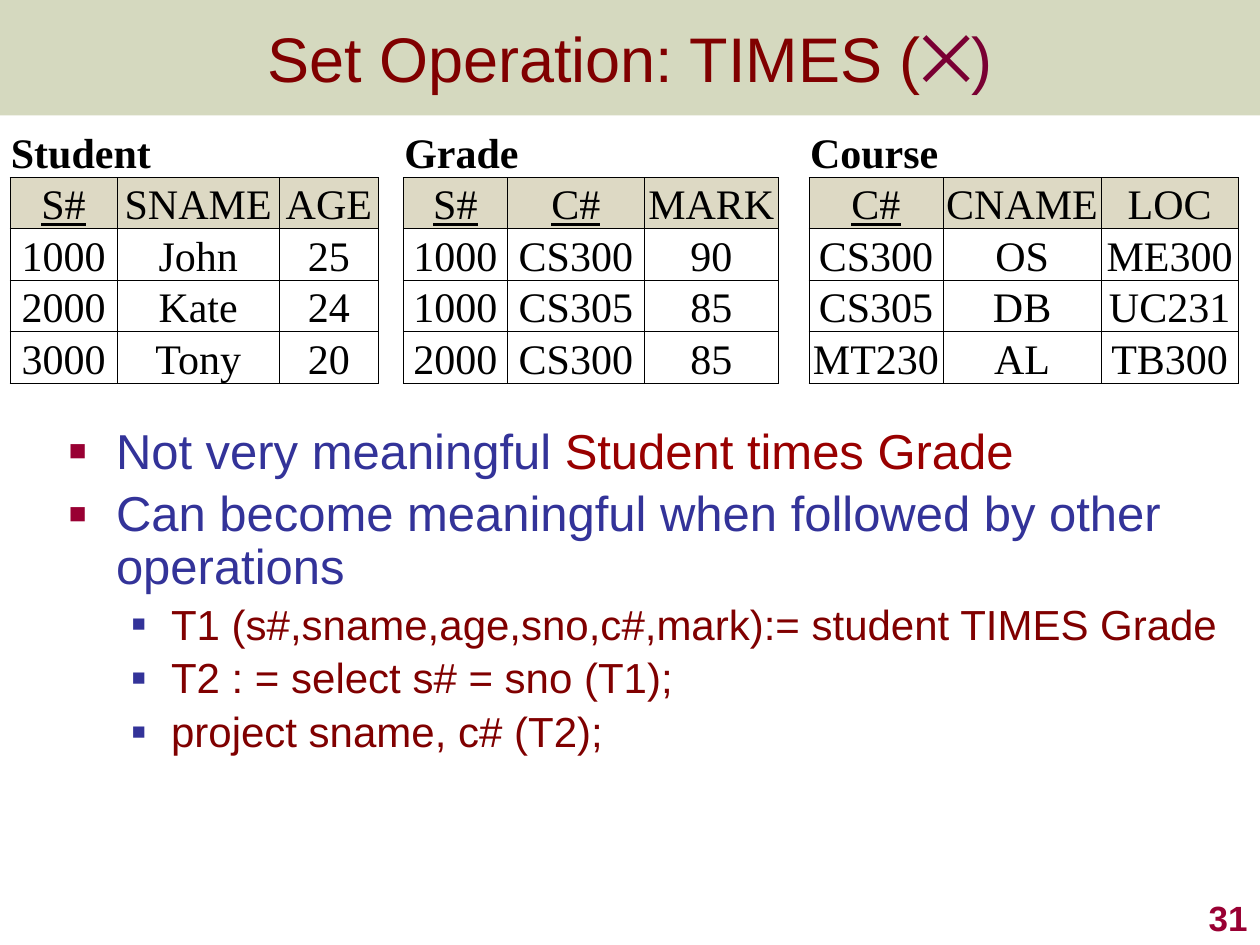
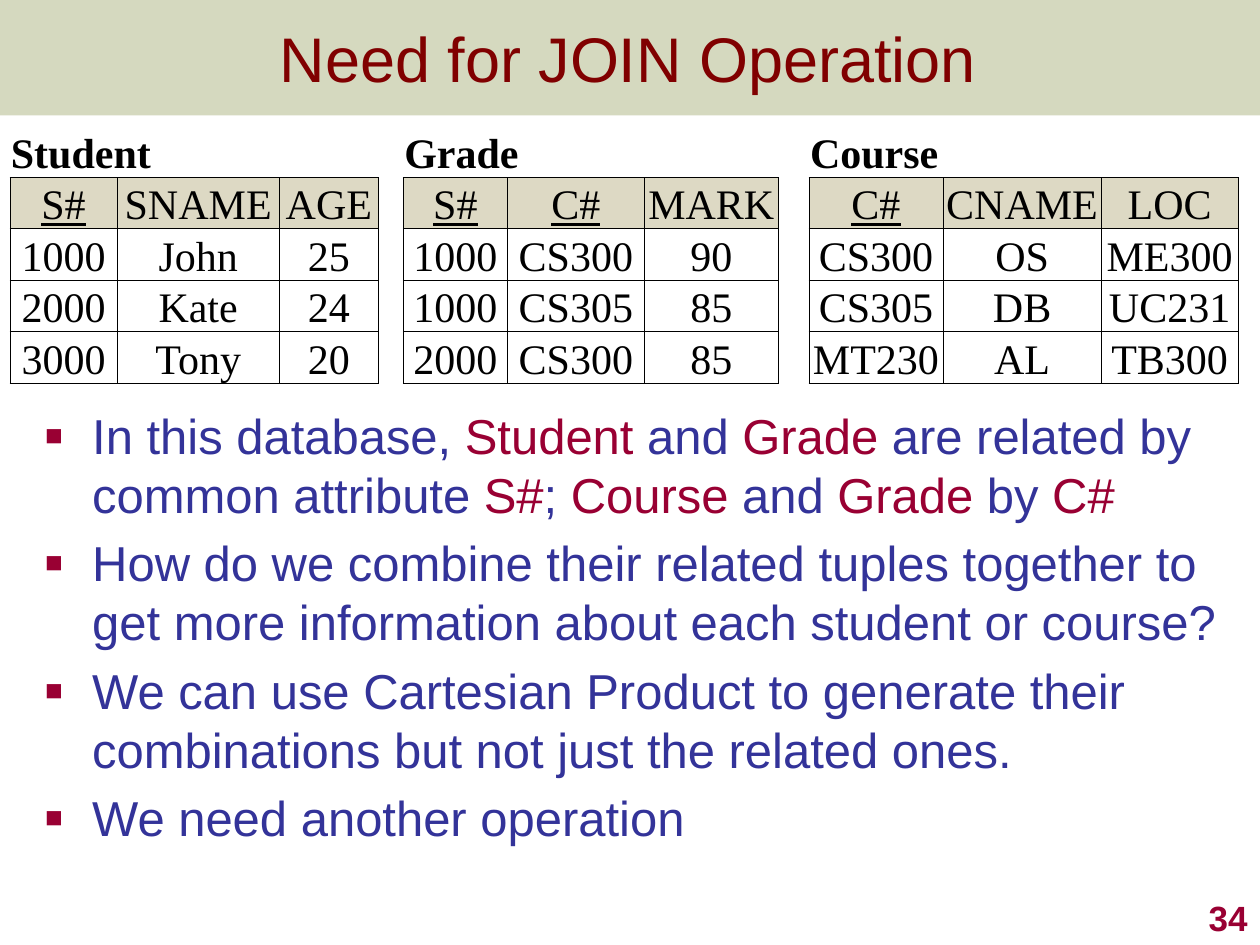
"""Build two slides on combining relations with TIMES and JOIN."""
from dataclasses import dataclass
from typing import NamedTuple

from lxml import etree
from pptx import Presentation
from pptx.dml.color import RGBColor
from pptx.enum.shapes import MSO_SHAPE
from pptx.enum.text import MSO_ANCHOR, PP_ALIGN
from pptx.oxml.ns import qn
from pptx.util import Cm, Pt

RECT = MSO_SHAPE.RECTANGLE
TOP, MIDDLE, BOTTOM = MSO_ANCHOR.TOP, MSO_ANCHOR.MIDDLE, MSO_ANCHOR.BOTTOM
LEFT, CENTER, RIGHT = PP_ALIGN.LEFT, PP_ALIGN.CENTER, PP_ALIGN.RIGHT
SIDES = "LRTB"


@dataclass(frozen=True)
class Theme:
    """Colours, fonts and type sizes of the deck."""
    sans: str = "Arial"
    serif: str = "Times New Roman"
    olive: str = "76822E"
    maroon: str = "800000"
    red: str = "990000"
    crimson: str = "990033"
    plum: str = "790033"
    blue: str = "333399"
    black: str = "000000"
    white: str = "FFFFFF"
    header: str = "DDD9C4"
    title_size: int = 36
    table_size: int = 24
    number_size: int = 20
    band_alpha: int = 30


T = Theme()


class Box(NamedTuple):
    """Left, top, width and height in centimetres."""
    left: float
    top: float
    width: float
    height: float

    def emu(self) -> list[Cm]:
        """Return the four lengths for python-pptx."""
        return [Cm(v) for v in self]


class Span(NamedTuple):
    """A run of text in one colour."""
    text: str
    color: str = T.blue


class Level(NamedTuple):
    """Size, indent and bullet of an outline level."""
    size: int
    margin: float
    hanging: float
    bullet_color: str
    bullet_percent: int


class Item(NamedTuple):
    """A bulleted paragraph."""
    spans: list[Span]
    level: int = 0


class Relation(NamedTuple):
    """A named relation with its key attributes and tuples."""
    name: str
    keys: set[str]
    widths: list[float]
    rows: list[list[str]]


@dataclass(frozen=True)
class Page:
    """What differs from slide to slide."""
    number: int
    title: list[Span]
    title_box: Box
    body_box: Box
    line_spacing: float
    items: list[Item]


BAND = Box(0, 0, 25.4, 2.33)
NUMBER_BOX = Box(20.12, 17.78, 5.28, 1.27)
TABLE_LEFT, TABLE_TOP, ROW_HEIGHT = 0.2, 2.54, 0.97
GAPS = [0.5, 0.62]
CELL_INSET = 0.02
LEVELS = [
    Level(28, 0.95, 0.95, T.crimson, 60),
    Level(24, 2.06, 0.79, T.blue, 55),
]
RELATIONS = [
    Relation("Student", {"S#"}, [2.16, 3.27, 2.0], [
        ["S#", "SNAME", "AGE"],
        ["1000", "John", "25"],
        ["2000", "Kate", "24"],
        ["3000", "Tony", "20"],
    ]),
    Relation("Grade", {"S#", "C#"}, [2.1, 2.76, 2.7], [
        ["S#", "C#", "MARK"],
        ["1000", "CS300", "90"],
        ["1000", "CS305", "85"],
        ["2000", "CS300", "85"],
    ]),
    Relation("Course", {"C#"}, [2.7, 3.19, 2.76], [
        ["C#", "CNAME", "LOC"],
        ["CS300", "OS", "ME300"],
        ["CS305", "DB", "UC231"],
        ["MT230", "AL", "TB300"],
    ]),
]
PAGES = [
    Page(31, [Span("Set Operation: TIMES (", T.maroon), Span("⨉)", T.plum)],
         BAND, Box(1.14, 8.48, 23.83, 6.78), 0.9, [
        Item([Span("Not very meaningful "), Span("Student times Grade", T.red)]),
        Item([Span("Can become meaningful when followed by other operations")]),
        Item([Span("T1 (s#,sname,age,sno,c#,mark):= student TIMES Grade", T.maroon)], 1),
        Item([Span("T2 : = select s# = sno (T1);", T.maroon)], 1),
        Item([Span("project sname, c# (T2);", T.maroon)], 1),
    ]),
    Page(34, [Span("Need for JOIN Operation", T.maroon)],
         Box(-0.08, 0, 25.48, 2.33), Box(0.66, 8.05, 24.1, 9.93), 1.0, [
        Item([Span("In this database, "), Span("Student", T.crimson), Span(" and "),
              Span("Grade", T.crimson), Span(" are related by common attribute "),
              Span("S#", T.crimson), Span("; "), Span("Course", T.crimson),
              Span(" and "), Span("Grade", T.crimson), Span(" by "),
              Span("C#", T.crimson)]),
        Item([Span("How do we combine their related tuples together to get more "
                   "information about each student or course?")]),
        Item([Span("We can use Cartesian Product to generate their combinations "
                   "but not just the related ones.")]),
        Item([Span("We need another operation")]),
    ]),
]


def add_run(p, span: Span, size: int, font: str = T.sans, bold: bool = False,
            underline: bool = False) -> None:
    """Append a styled run to a paragraph."""
    r = p.add_run()
    r.text = span.text
    r.font.name, r.font.size = font, Pt(size)
    r.font.bold, r.font.underline = bold, underline
    r.font.color.rgb = RGBColor.from_string(span.color)


def add_text_frame(s, box: Box, anchor):
    """Add a wrapping text box and return its frame."""
    tf = s.shapes.add_textbox(*box.emu()).text_frame
    tf.word_wrap = True
    tf.vertical_anchor = anchor
    return tf


def add_line(s, box: Box, spans: list[Span], size: int, anchor, align,
             bold: bool = False) -> None:
    """Add a text box holding one paragraph."""
    p = add_text_frame(s, box, anchor).paragraphs[0]
    p.alignment = align
    for span in spans:
        add_run(p, span, size, bold=bold)


def add_band(s) -> None:
    """Draw the translucent band behind the title."""
    sp = s.shapes.add_shape(RECT, *BAND.emu())
    sp.shadow.inherit = False
    sp.line.fill.background()
    sp.fill.solid()
    sp.fill.fore_color.rgb = RGBColor.from_string(T.olive)
    color = sp.fill._xPr.find(f".//{qn('a:srgbClr')}")
    etree.SubElement(color, qn("a:alpha"), val=str(T.band_alpha * 1000))


def set_bullet(p, level: Level) -> None:
    """Give a paragraph a square bullet and hanging indent."""
    pPr = p._p.get_or_add_pPr()
    pPr.set("marL", str(Cm(level.margin)))
    pPr.set("indent", str(-Cm(level.hanging)))
    color = etree.SubElement(pPr, qn("a:buClr"))
    etree.SubElement(color, qn("a:srgbClr"), val=level.bullet_color)
    etree.SubElement(pPr, qn("a:buSzPct"), val=str(level.bullet_percent * 1000))
    etree.SubElement(pPr, qn("a:buFont"), typeface=T.sans)
    etree.SubElement(pPr, qn("a:buChar"), char="■")


def add_outline(s, page: Page) -> None:
    """Add the bulleted body text."""
    tf = add_text_frame(s, page.body_box, TOP)
    tf.margin_right = 0
    for i, item in enumerate(page.items):
        p = tf.add_paragraph() if i else tf.paragraphs[0]
        level = LEVELS[item.level]
        set_bullet(p, level)
        p.line_spacing = page.line_spacing
        if i:
            p.space_before = Pt(level.size * 0.2)
        for span in item.spans:
            add_run(p, span, level.size)


def style_cell(cell, fill: str, ruled: str) -> None:
    """Set insets, fill and the ruled sides of a cell."""
    cell.margin_left = cell.margin_right = cell.margin_top = Cm(CELL_INSET)
    cell.margin_bottom = 0
    cell.vertical_anchor = BOTTOM
    tcPr = cell._tc.get_or_add_tcPr()
    for side in SIDES:
        ln = etree.SubElement(tcPr, qn(f"a:ln{side}"), w=str(Pt(0.5)))
        if side in ruled:
            solid = etree.SubElement(ln, qn("a:solidFill"))
            etree.SubElement(solid, qn("a:srgbClr"), val=T.black)
        else:
            etree.SubElement(ln, qn("a:noFill"))
    cell.fill.solid()
    cell.fill.fore_color.rgb = RGBColor.from_string(fill)


def write_cell(cell, text: str, align, bold: bool = False,
               underline: bool = False) -> None:
    """Write one line of table text."""
    p = cell.text_frame.paragraphs[0]
    p.alignment = align
    add_run(p, Span(text, T.black), T.table_size, T.serif, bold, underline)


def fill_relation(table, first: int, relation: Relation) -> None:
    """Write a relation's name, header and tuples from a given column."""
    last = first + len(relation.widths) - 1
    for col in range(first, last + 1):
        style_cell(table.cell(0, col), T.white, "B")
    table.cell(0, first).merge(table.cell(0, last))
    write_cell(table.cell(0, first), relation.name, LEFT, bold=True)
    for row, values in enumerate(relation.rows, 1):
        for col, value in enumerate(values, first):
            cell = table.cell(row, col)
            style_cell(cell, T.header if row == 1 else T.white, SIDES)
            write_cell(cell, value, CENTER,
                       underline=row == 1 and value in relation.keys)


def add_relations(s) -> None:
    """Add the table that sets the relations side by side."""
    widths = list(RELATIONS[0].widths)
    starts = [0]
    for gap, relation in zip(GAPS, RELATIONS[1:]):
        starts.append(len(widths) + 1)
        widths += [gap, *relation.widths]
    rows = len(RELATIONS[0].rows) + 1
    box = Box(TABLE_LEFT, TABLE_TOP, sum(widths), rows * ROW_HEIGHT)
    table = s.shapes.add_table(rows, len(widths), *box.emu()).table
    for column, width in zip(table.columns, widths):
        column.width = Cm(width)
    for start, relation in zip(starts, RELATIONS):
        fill_relation(table, start, relation)
    for start in starts[1:]:
        for row in range(rows):
            style_cell(table.cell(row, start - 1), T.white, "LR" if row else "")


def add_page(prs, page: Page) -> None:
    """Add one complete slide."""
    s = prs.slides.add_slide(prs.slide_layouts[6])
    add_band(s)
    add_outline(s, page)
    add_line(s, NUMBER_BOX, [Span(str(page.number), T.crimson)], T.number_size,
             BOTTOM, RIGHT, bold=True)
    add_relations(s)
    add_line(s, page.title_box, page.title, T.title_size, MIDDLE, CENTER)


def main() -> None:
    """Build and save the deck."""
    prs = Presentation()
    prs.slide_width, prs.slide_height = Cm(25.4), Cm(19.05)
    for page in PAGES:
        add_page(prs, page)
    prs.save("out.pptx")


if __name__ == "__main__":
    main()
